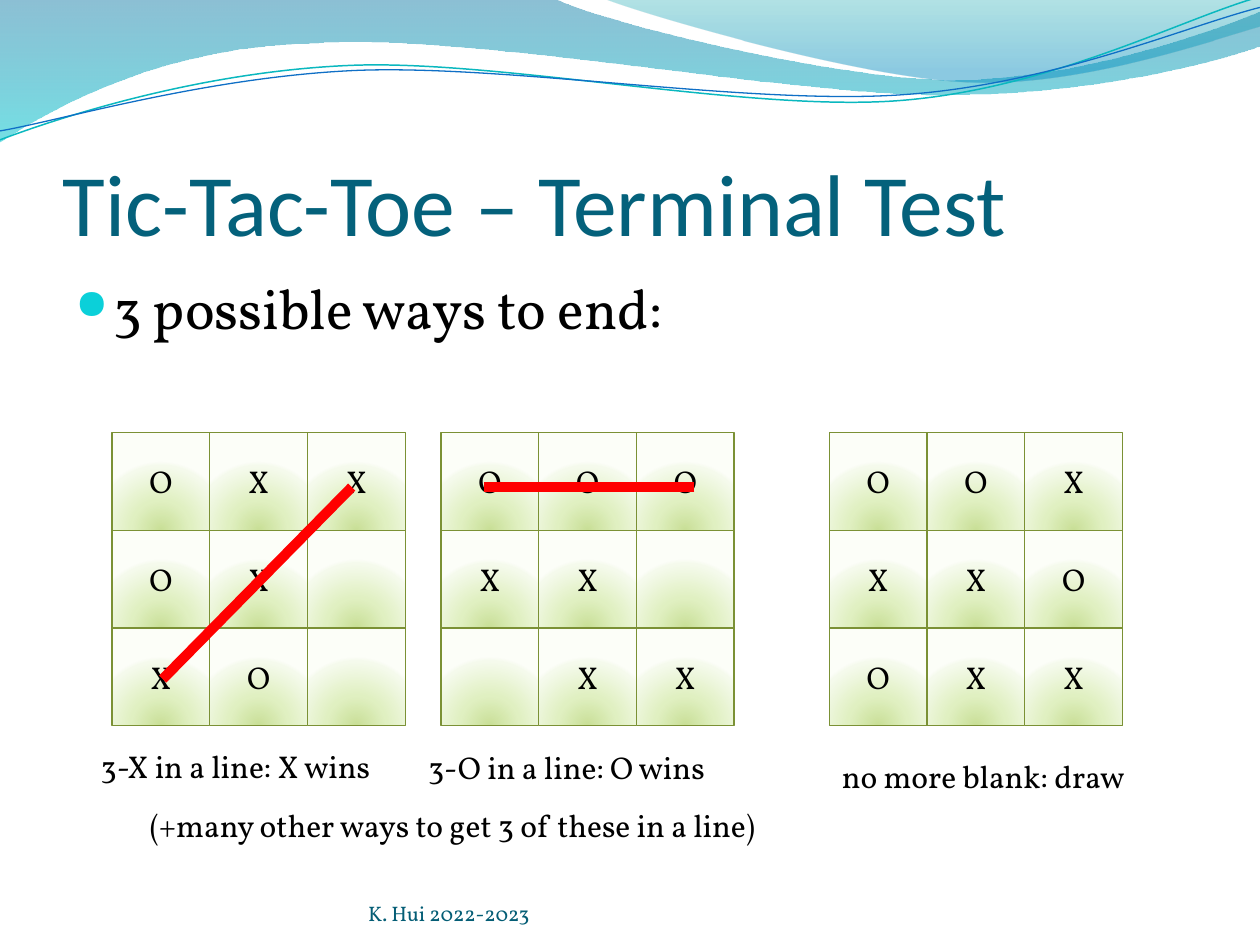
"""Build the tic-tac-toe slide about the three ways a game can end."""
import math
from dataclasses import dataclass, field
from typing import Any, Optional

import lxml.etree
import pptx
import pptx.dml.color
import pptx.enum.shapes
import pptx.enum.text
import pptx.oxml
import pptx.oxml.ns
import pptx.util

Cm = pptx.util.Cm
Pt = pptx.util.Pt
qn = pptx.oxml.ns.qn
ANCHOR = pptx.enum.text.MSO_ANCHOR
FIT = pptx.enum.text.MSO_AUTO_SIZE.SHAPE_TO_FIT_TEXT
SERIF = "Vollkorn"
CELL = 1.97
BOARD_TOP = 8.72
DOWNWARD = '<a:lin ang="5400000" scaled="1"/>'
GLOW = '<a:path path="circle"><a:fillToRect l="50000" t="130000" r="50000" b="-30000"/></a:path>'
CELL_STOPS = [(0, "C9DF97", 100), (43, "E0F0C1", 100), (93, "F5FAEC", 100), (100, "FCFEF8", 100)]
Point = tuple[float, float]


@dataclass
class Wave:
    start: Point
    segments: list[tuple[Point, ...]]
    stops: list[tuple[int, str, int]] = field(default_factory=list)
    line: str = ""
    width: float = 0
    center: Point = (0, 0)
    tilt: float = 0


@dataclass
class Label:
    text: str
    box: tuple[float, float, float, float]
    size: float = 18
    font: str = SERIF
    color: str = "000000"
    frame: dict[str, Any] = field(default_factory=lambda: {"word_wrap": False, "auto_size": FIT})
    bullet: str = ""


@dataclass
class Board:
    left: float
    rows: tuple[str, str, str]
    caption: Label
    strike: Optional[tuple[Point, Point]] = None


WAVES = [
    Wave((0, 0), [
        ((11.18, -0.03),),
        ((12.09, 0.43), (16.87, 1.6), (19.25, 1.6)),
        ((21.67, 1.6), (24.33, 0.66), (25.4, 0.23)),
        ((25.43, 0.91),),
        ((24.97, 1.12), (22.1, 1.93), (18.95, 1.91)),
        ((15.8, 1.91), (9.7, 0.71), (6.53, 0.86)),
        ((3.28, 0.91), (1.17, 2.11), (-0.03, 2.87)),
    ], stops=[(0, "0074A1", 45), (100, "00C6CF", 55)]),
    Wave((12.17, -0.03), [
        ((12.93, 0.28), (17.32, 1.57), (19.53, 1.65)),
        ((21.74, 1.75), (24.41, 0.81), (25.4, 0.53)),
        ((25.4, 0),),
    ], stops=[(0, "00A1A9", 30), (80, "008BBF", 45)]),
    Wave((0, 2.82), [
        ((1.22, 2.36), (4.01, 1.45), (7.04, 1.32)),
        ((10.03, 1.19), (15.06, 2.26), (18.11, 2.03)),
        ((21.16, 1.8), (23.83, 0.38), (25.35, -0.05)),
    ], line="0AB8BF", width=0.85, center=(12.68, 1.46), tilt=-2.7),
    Wave((0, 2.64), [
        ((1.19, 2.44), (4.17, 1.55), (7.19, 1.42)),
        ((10.24, 1.3), (15.16, 2.13), (18.21, 1.91)),
        ((21.23, 1.7), (23.9, 0.53), (25.4, 0.15)),
    ], line="0F6FC6", width=0.75, center=(12.7, 1.5), tilt=-2.7),
]

LABELS = [
    Label("Tic-Tac-Toe – Terminal Test", (1.27, 1.95, 22.86, 3.18), 50, "Calibri", "04617B",
          {"word_wrap": True, "vertical_anchor": ANCHOR.BOTTOM, "margin_left": 0,
           "margin_right": 0, "margin_bottom": 0}),
    Label("3 possible ways to end:", (1.27, 5.38, 22.86, 2.39), 32,
          frame={"word_wrap": True}, bullet="0BD0D9"),
    Label("K. Hui 2022-2023", (7.42, 17.65, 9.32, 1.02), 12, color="045D75",
          frame={"word_wrap": True, "vertical_anchor": ANCHOR.BOTTOM, "margin_left": 0,
                 "margin_right": 0, "margin_top": 0, "margin_bottom": 0}),
]
BOARDS = [
    Board(16.72, ("OOX", "XXO", "OXX"), Label("no more blank: draw", (16.72, 15.14, 6.32, 1.02))),
    Board(2.26, ("OXX", "OX ", "XO "), Label("3-X in a line: X wins", (1.78, 14.94, 6.05, 1.02)),
          ((7.09, 9.82), (3.28, 13.69))),
    Board(8.89, ("OOO", "XX ", " XX"), Label("3-O in a line: O wins", (8.38, 14.96, 6.22, 1.02)),
          ((14, 9.82), (9.75, 9.82))),
]
REMARKS = [Label("(+many other ways to get 3 of these in a line)", (2.77, 16.13, 12.73, 1.02))]


def rgb(value: str) -> pptx.dml.color.RGBColor:
    """Turn a hex string into a colour."""
    return pptx.dml.color.RGBColor.from_string(value)


def set_gradient(shape, stops: list[tuple[int, str, int]], direction: str) -> None:
    """Fill a shape with a gradient of (position, colour, opacity) stops."""
    shape.fill.solid()
    stop_xml = "".join(
        f'<a:gs pos="{position * 1000}"><a:srgbClr val="{color}">'
        f'<a:alpha val="{opacity * 1000}"/></a:srgbClr></a:gs>'
        for position, color, opacity in stops)
    gradient = pptx.oxml.parse_xml(
        f'<a:gradFill {pptx.oxml.ns.nsdecls("a")} rotWithShape="1">'
        f"<a:gsLst>{stop_xml}</a:gsLst>{direction}</a:gradFill>")
    properties = shape._element.spPr
    properties.replace(properties.find(qn("a:solidFill")), gradient)


def set_line(shape, color: str, width: float) -> None:
    """Set the colour and width of an outline."""
    shape.line.color.rgb = rgb(color)
    shape.line.width = Pt(width)


def level(point: Point, wave: Wave) -> Point:
    """Undo the tilt of a wave for one point, in slide units."""
    angle = math.radians(-wave.tilt)
    x, y = point[0] - wave.center[0], point[1] - wave.center[1]
    return (Cm(wave.center[0] + x * math.cos(angle) - y * math.sin(angle)),
            Cm(wave.center[1] + x * math.sin(angle) + y * math.cos(angle)))


def bend(shape, segments: list[tuple[Point, ...]]) -> None:
    """Join the straight steps of each three-point segment into one cubic curve."""
    steps = iter(list(shape._element.iter(qn("a:lnTo"))))
    for segment in segments:
        group = [next(steps) for _ in segment]
        if len(group) == 3:
            curve = lxml.etree.Element(qn("a:cubicBezTo"))
            group[0].addprevious(curve)
            for step in group:
                curve.append(step[0])
                step.getparent().remove(step)


def draw_wave(slide, wave: Wave) -> None:
    """Draw a filled band or an open curve."""
    builder = slide.shapes.build_freeform(*level(wave.start, wave))
    builder.add_line_segments([level(point, wave) for segment in wave.segments
                               for point in segment], close=bool(wave.stops))
    shape = builder.convert_to_shape()
    bend(shape, wave.segments)
    shape.rotation = wave.tilt
    shape.shadow.inherit = False
    if wave.stops:
        set_gradient(shape, wave.stops, DOWNWARD)
        shape.line.fill.background()
    else:
        shape.fill.background()
        set_line(shape, wave.line, wave.width)


def write(paragraph, text: str, size: float, font: str, color: str) -> None:
    """Add one formatted run to a paragraph."""
    run = paragraph.add_run()
    run.text = text
    for name, value in {"size": Pt(size), "name": font}.items():
        setattr(run.font, name, value)
    run.font.color.rgb = rgb(color)


def add_bullet(paragraph, color: str) -> None:
    """Give a paragraph a hanging round bullet."""
    paragraph.space_before = Pt(6)
    properties = paragraph._p.get_or_add_pPr()
    for name, length in {"marL": Cm(0.76), "indent": Cm(-0.76)}.items():
        properties.set(name, str(length))
    bullet_color = lxml.etree.SubElement(properties, qn("a:buClr"))
    lxml.etree.SubElement(bullet_color, qn("a:srgbClr"), val=color)
    lxml.etree.SubElement(properties, qn("a:buSzPct"), val="74000")
    lxml.etree.SubElement(properties, qn("a:buChar"), char="●")


def draw_label(container, label: Label) -> None:
    """Draw a text box with one paragraph."""
    frame = container.shapes.add_textbox(*map(Cm, label.box)).text_frame
    for name, value in label.frame.items():
        setattr(frame, name, value)
    paragraph = frame.paragraphs[0]
    if label.bullet:
        add_bullet(paragraph, label.bullet)
    write(paragraph, label.text, label.size, label.font, label.color)


def draw_cell(container, left: float, top: float, mark: str) -> None:
    """Draw one square with its mark, if any."""
    shape = container.shapes.add_shape(pptx.enum.shapes.MSO_SHAPE.RECTANGLE,
                                       Cm(left), Cm(top), Cm(CELL), Cm(CELL))
    shape.shadow.inherit = False
    set_gradient(shape, CELL_STOPS, GLOW)
    set_line(shape, "7B9135", 0.75)
    if mark.strip():
        shape.text_frame.vertical_anchor = ANCHOR.MIDDLE
        paragraph = shape.text_frame.paragraphs[0]
        paragraph.alignment = pptx.enum.text.PP_ALIGN.CENTER
        write(paragraph, mark, 18, SERIF, "000000")


def draw_board(slide, board: Board) -> None:
    """Draw the grid, its caption and the winning strike as a group."""
    group = slide.shapes.add_group_shape()
    for index, mark in enumerate("".join(board.rows)):
        row, column = divmod(index, 3)
        draw_cell(group, board.left + column * CELL, BOARD_TOP + row * CELL, mark)
    draw_label(group, board.caption)
    if board.strike:
        start, end = board.strike
        strike = group.shapes.add_connector(pptx.enum.shapes.MSO_CONNECTOR.STRAIGHT,
                                            *map(Cm, start + end))
        set_line(strike, "FF0000", 5.75)
        lxml.etree.SubElement(strike._element.spPr, qn("a:effectLst"))


presentation = pptx.Presentation()
presentation.slide_width, presentation.slide_height = Cm(25.4), Cm(19.05)
page = presentation.slides.add_slide(presentation.slide_layouts[6])
for draw, items in ((draw_wave, WAVES), (draw_label, LABELS),
                    (draw_board, BOARDS), (draw_label, REMARKS)):
    for item in items:
        draw(page, item)
presentation.save("out.pptx")
